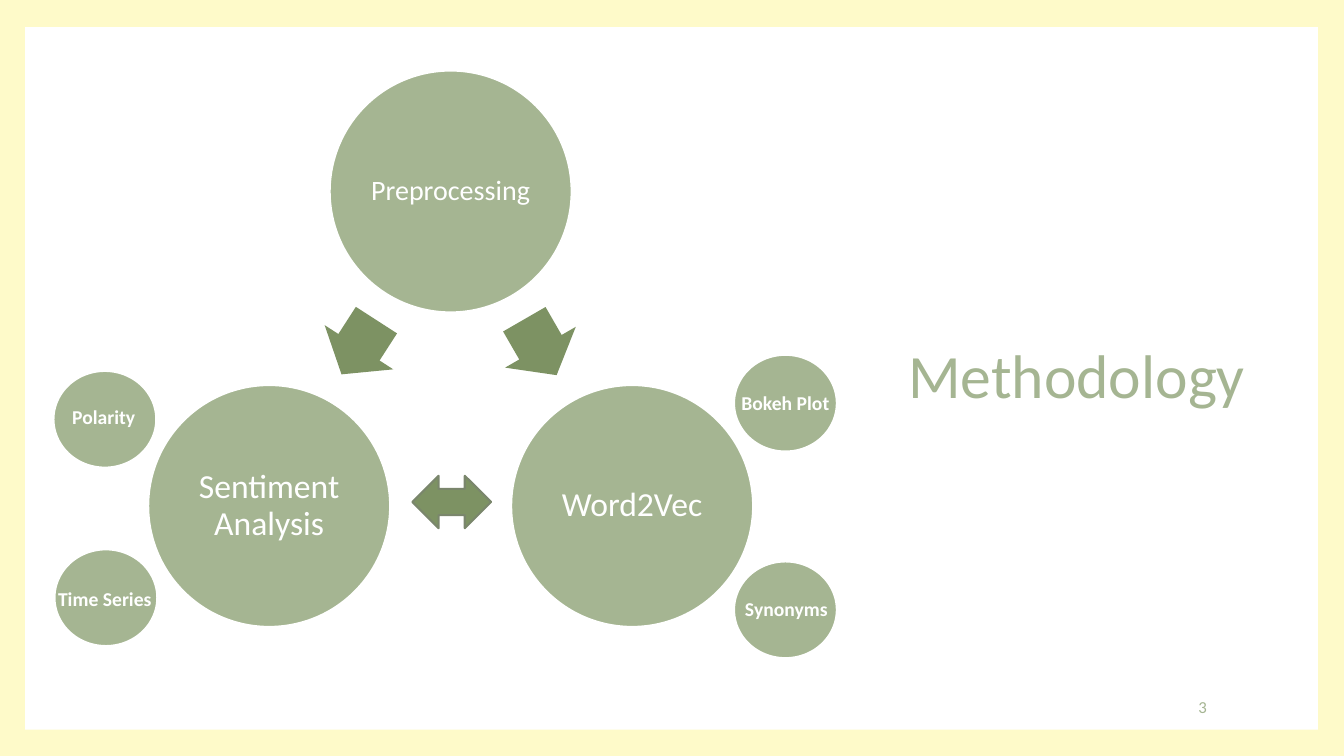
from dataclasses import dataclass

from pptx import Presentation
from pptx.dml.color import RGBColor
from pptx.enum.shapes import MSO_SHAPE
from pptx.enum.text import MSO_ANCHOR, MSO_AUTO_SIZE, PP_ALIGN
from pptx.util import Emu, Pt

RECT, OVAL = MSO_SHAPE.RECTANGLE, MSO_SHAPE.OVAL
RIGHT_ARROW, DOUBLE_ARROW = MSO_SHAPE.RIGHT_ARROW, MSO_SHAPE.LEFT_RIGHT_ARROW
TOP, MIDDLE = MSO_ANCHOR.TOP, MSO_ANCHOR.MIDDLE
CENTER, RIGHT = PP_ALIGN.CENTER, PP_ALIGN.RIGHT
NO_AUTOFIT = MSO_AUTO_SIZE.NONE

PX = 9144  # 100 px to the inch
FONT = "Calibri"
CREAM, WHITE = "FEFAC9", "FFFFFF"
SAGE, MOSS, MOSS_EDGE = "A5B592", "7D9263", "7A866C"
TITLE_ONLY = 5

STAGE_SIZE = 240
OUTPUT_W, OUTPUT_H = 102, 96
LABEL_W, LABEL_H = 140, 34


@dataclass(frozen=True)
class Stage:
    text: str
    x: int
    y: int
    size: int


@dataclass(frozen=True)
class Output:
    """A small circle and the label laid over it."""
    text: str
    x: int
    y: int
    label_x: int
    label_y: int


@dataclass(frozen=True)
class Arrow:
    x: int
    y: int
    angle: float


STAGES = [
    Stage("Preprocessing", 327, 70, 20),
    Stage("Word2Vec", 507, 382, 24),
    Stage("Sentiment Analysis", 147, 382, 24),
]
ARROWS = [Arrow(504, 304, 60), Arrow(324, 304, 122.8)]
OUTPUTS = [
    Output("Bokeh Plot", 728, 352, 709, 383),
    Output("Synonyms", 728, 557, 710, 587),
    Output("Polarity", 53, 368, 33, 397),
    Output("Time Series", 54, 545, 34, 577),
]


def px(n: int) -> Emu:
    return Emu(n * PX)


def rgb(color: str) -> RGBColor:
    return RGBColor.from_string(color)


def write(s, text: str, *, size: int, color: str = WHITE, bold: bool = False,
          align=CENTER, anchor=MIDDLE, spacing: float = 1.0,
          inset: int | None = None) -> None:
    tf = s.text_frame
    tf.word_wrap = True
    tf.auto_size = NO_AUTOFIT
    tf.vertical_anchor = anchor
    if inset is not None:
        tf.margin_left = tf.margin_right = px(inset)
        tf.margin_top = tf.margin_bottom = px(inset)
    p = tf.paragraphs[0]
    p.alignment = align
    p.line_spacing = spacing
    r = p.add_run()
    r.text = text
    r.font.name = FONT
    r.font.size = Pt(size)
    r.font.bold = bold
    r.font.color.rgb = rgb(color)


def add_shape(shapes, kind, x: int, y: int, w: int, h: int,
              fill: str, line: str | None = None):
    s = shapes.add_shape(kind, px(x), px(y), px(w), px(h))
    s.shadow.inherit = False
    s.fill.solid()
    s.fill.fore_color.rgb = rgb(fill)
    if line:
        s.line.color.rgb = rgb(line)
        s.line.width = Pt(1.5)
    else:
        s.line.fill.background()
    return s


def add_text(shapes, text: str, x: int, y: int, w: int, h: int, **fmt) -> None:
    write(shapes.add_textbox(px(x), px(y), px(w), px(h)), text, **fmt)


def add_title(shapes, text: str) -> None:
    title = shapes.title
    title.left, title.top = px(830), px(29)
    title.width, title.height = px(476), px(694)
    write(title, text, size=44, color=SAGE, spacing=0.9)


def add_stage(shapes, stage: Stage) -> None:
    s = add_shape(shapes, OVAL, stage.x, stage.y, STAGE_SIZE, STAGE_SIZE,
                  SAGE, WHITE)
    write(s, stage.text, size=stage.size, spacing=0.9, inset=0)


def add_arrow(shapes, arrow: Arrow) -> None:
    s = add_shape(shapes, RIGHT_ARROW, arrow.x, arrow.y, 64, 81, MOSS)
    s.adjustments[0] = 0.6
    s.rotation = arrow.angle


def add_output(shapes, output: Output) -> None:
    add_shape(shapes, OVAL, output.x, output.y, OUTPUT_W, OUTPUT_H, SAGE, WHITE)
    add_text(shapes, output.text, output.label_x, output.label_y,
             LABEL_W, LABEL_H, size=14, bold=True, anchor=TOP)


def main() -> None:
    prs = Presentation()
    prs.slide_width, prs.slide_height = px(1333), px(750)
    slide = prs.slides.add_slide(prs.slide_layouts[TITLE_ONLY])
    slide.background.fill.solid()
    slide.background.fill.fore_color.rgb = rgb(CREAM)
    shapes = slide.shapes

    add_title(shapes, "Methodology")
    panel = add_shape(shapes, RECT, 25, 27, 1282, 697, WHITE)
    shapes.title.element.addprevious(panel.element)  # panel goes behind the title

    for stage in STAGES:
        add_stage(shapes, stage)
    for arrow in ARROWS:
        add_arrow(shapes, arrow)
    add_shape(shapes, DOUBLE_ARROW, 409, 472, 78, 52, MOSS, MOSS_EDGE)
    for output in OUTPUTS:
        add_output(shapes, output)
    add_text(shapes, "3", 1020, 681, 187, 40, size=12, color=SAGE, align=RIGHT)

    prs.save("out.pptx")


if __name__ == "__main__":
    main()
